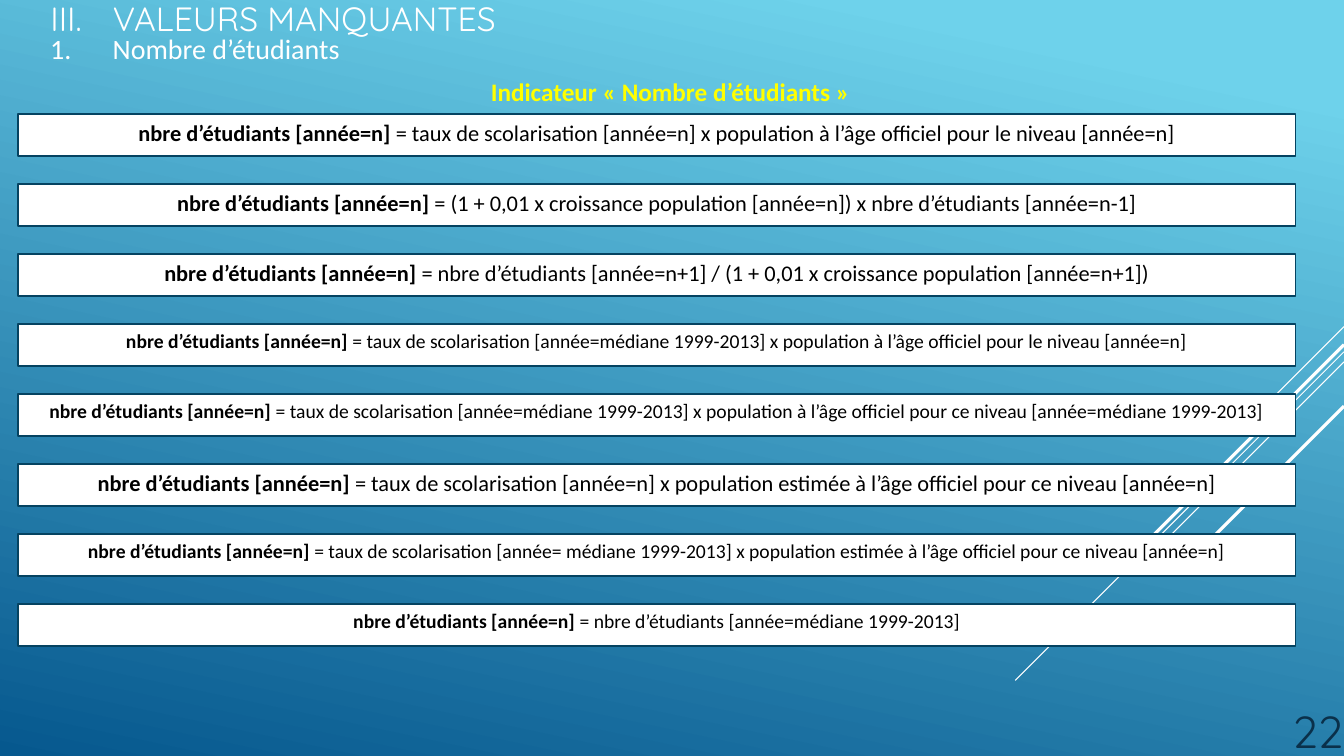
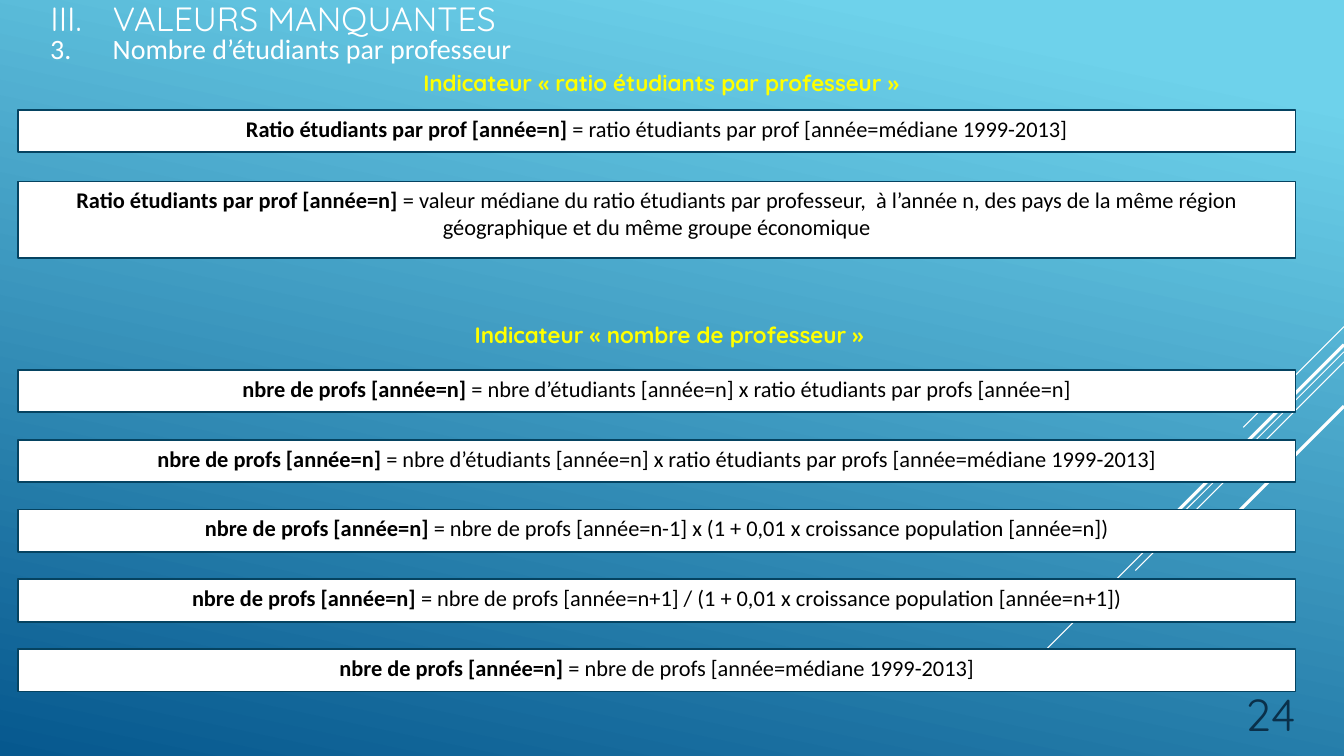
from lxml import etree
from pptx import Presentation
from pptx.dml.color import RGBColor
from pptx.enum.shapes import MSO_CONNECTOR, MSO_SHAPE
from pptx.enum.text import MSO_ANCHOR, MSO_AUTO_SIZE, PP_ALIGN
from pptx.oxml.ns import qn
from pptx.util import Inches, Pt

LEFT, CENTER, RIGHT = PP_ALIGN.LEFT, PP_ALIGN.CENTER, PP_ALIGN.RIGHT
TOP, MIDDLE, BOTTOM = MSO_ANCHOR.TOP, MSO_ANCHOR.MIDDLE, MSO_ANCHOR.BOTTOM

WHITE, BLACK, YELLOW = "FFFFFF", "000000", "FFFF00"
SKY, DEEP_BLUE, BORDER, NUMBER = "6ED2EB", "06588E", "054361", "0A304A"
BODY_FONT, DISPLAY_FONT = "Calibri", "Quicksand"

TITLE_ONLY = 5
NUMBER_INDENT = 0.62
BAR_LEFT, BAR_WIDTH, BAR_HEIGHT = 0.18, 12.67, 0.42

# Diagonals all leave the right edge at 45 degrees: start height, run, width
DIAGONALS = [(3.24, 1, 0.75), (3.49, 3.26, 0.75), (3.59, 2.07, 0.75),
             (3.42, 1.91, 2.25), (4.03, 1.39, 2.25)]

STUDENTS = "nbre d’étudiants [année=n]"
RATIO = "Ratio étudiants par prof [année=n]"
TEACHERS = "nbre de profs [année=n]"

STUDENT_FORMULAS = [
    ("taux de scolarisation [année=n] x population à l’âge officiel "
     "pour le niveau [année=n]", 16),
    ("(1 + 0,01 x croissance population [année=n]) x nbre d’étudiants [année=n-1]", 16),
    ("nbre d’étudiants [année=n+1] / (1 + 0,01 x croissance population [année=n+1])", 16),
    ("taux de scolarisation [année=médiane 1999-2013] x population à l’âge officiel "
     "pour le niveau [année=n]", 14),
    ("taux de scolarisation [année=médiane 1999-2013] x population à l’âge officiel "
     "pour ce niveau [année=médiane 1999-2013]", 14),
    ("taux de scolarisation [année=n] x population estimée à l’âge officiel "
     "pour ce niveau [année=n]", 16),
    ("taux de scolarisation [année= médiane 1999-2013] x population estimée "
     "à l’âge officiel pour ce niveau [année=n]", 14),
    ("nbre d’étudiants [année=médiane 1999-2013]", 14),
]
RATIO_MEDIAN = "ratio étudiants par prof [année=médiane 1999-2013]"
RATIO_REGION = ("valeur médiane du ratio étudiants par professeur,  à l’année n, des pays "
                "de la même région géographique et du même groupe économique")
TEACHER_FORMULAS = [
    ("nbre d’étudiants [année=n] x ratio étudiants par profs [année=n]", 16),
    ("nbre d’étudiants [année=n] x ratio étudiants par profs [année=médiane 1999-2013]", 16),
    ("nbre de profs [année=n-1] x (1 + 0,01 x croissance population [année=n])", 16),
    ("nbre de profs [année=n+1] / (1 + 0,01 x croissance population [année=n+1])", 16),
    ("nbre de profs [année=médiane 1999-2013]", 16),
]


def rgb(value):
    return RGBColor.from_string(value)


def add_run(p, text, size=16, font=BODY_FONT, color=BLACK, bold=False):
    r = p.add_run()
    r.text = text
    r.font.size = Pt(size)
    r.font.name = font
    r.font.color.rgb = rgb(color)
    r.font.bold = bold


def set_text(sp, text, align=LEFT, anchor=TOP, **run_format):
    """Write one paragraph into a shape and return the paragraph."""
    tf = sp.text_frame
    tf.word_wrap = True
    tf.auto_size = MSO_AUTO_SIZE.NONE
    tf.vertical_anchor = anchor
    p = tf.paragraphs[0]
    p.alignment = align
    add_run(p, text, **run_format)
    return p


def add_text(slide, text, left, top, width, height, **text_format):
    sp = slide.shapes.add_textbox(Inches(left), Inches(top), Inches(width), Inches(height))
    return set_text(sp, text, **text_format)


def number_paragraph(p, scheme, start):
    """Give a paragraph an automatic number with a hanging indent."""
    pPr = p._p.get_or_add_pPr()
    pPr.set("marL", str(Inches(NUMBER_INDENT)))
    pPr.set("indent", str(-Inches(NUMBER_INDENT)))
    bullet = etree.SubElement(pPr, qn("a:buAutoNum"))
    bullet.set("type", scheme)
    bullet.set("startAt", str(start))


def add_diagonals(slide):
    for top, run, width in DIAGONALS:
        line = slide.shapes.add_connector(
            MSO_CONNECTOR.STRAIGHT, Inches(13.33), Inches(top),
            Inches(13.33 - run), Inches(top + run))
        line.line.color.rgb = rgb(WHITE)
        line.line.width = Pt(width)
        etree.SubElement(line._element.spPr, qn("a:effectLst"))


def add_heading(slide, text, left, top, width, **run_format):
    add_text(slide, text, left, top, width, 0.37, color=YELLOW, bold=True, **run_format)


def add_formula(slide, name, formula, top, height=BAR_HEIGHT, size=16):
    sp = slide.shapes.add_shape(MSO_SHAPE.RECTANGLE, Inches(BAR_LEFT), Inches(top),
                                Inches(BAR_WIDTH), Inches(height))
    sp.shadow.inherit = False
    sp.fill.solid()
    sp.fill.fore_color.rgb = rgb(WHITE)
    sp.line.color.rgb = rgb(BORDER)
    sp.line.width = Pt(1.25)
    p = set_text(sp, name, align=CENTER, size=size, bold=True)
    add_run(p, f" = {formula}", size=size)


def add_formulas(slide, name, formulas, first, last):
    """Spread formula bars evenly between the first and the last top."""
    pitch = (last - first) / (len(formulas) - 1)
    for i, (formula, size) in enumerate(formulas):
        add_formula(slide, name, formula, first + i * pitch, size=size)


def add_slide(prs, section, subtitle, page, page_left, page_top):
    slide = prs.slides.add_slide(prs.slide_layouts[TITLE_ONLY])
    add_diagonals(slide)
    title = slide.shapes.title
    title.left, title.top = Inches(0.4), Inches(0)
    title.width, title.height = Inches(12.93), Inches(0.36)
    p = set_text(title, "VALEURS MANQUANTES", anchor=MIDDLE, size=24,
                 font=DISPLAY_FONT, color=WHITE)
    number_paragraph(p, "romanUcPeriod", 3)
    p = add_text(slide, subtitle, 0.4, 0.31, 5.4, 0.34, anchor=MIDDLE, size=20, color=WHITE)
    number_paragraph(p, "arabicPeriod", section)
    add_text(slide, page, page_left, page_top, 1.25, 0.73, align=RIGHT, anchor=BOTTOM,
             size=32, font=DISPLAY_FONT, color=NUMBER)
    return slide


def set_background(master):
    fill = master.background.fill
    fill.gradient()
    fill.gradient_angle = 258
    for stop, color, position in zip(fill.gradient_stops, (SKY, DEEP_BLUE), (0.1, 1)):
        stop.color.rgb = rgb(color)
        stop.position = position


def add_students_slide(prs):
    slide = add_slide(prs, 1, "Nombre d’étudiants", "22", 12.17, 6.83)
    add_heading(slide, "Indicateur « Nombre d’étudiants »", 4.77, 0.71, 4.01, size=18)
    add_formulas(slide, STUDENTS, STUDENT_FORMULAS, 1.13, 5.99)


def add_teachers_slide(prs):
    slide = add_slide(prs, 3, "Nombre d’étudiants par professeur", "24", 11.7, 6.67)
    add_heading(slide, "Indicateur « ratio étudiants par professeur »", 4.1, 0.64, 5.28,
                font=DISPLAY_FONT)
    add_formula(slide, RATIO, RATIO_MEDIAN, 1.09)
    add_formula(slide, RATIO, RATIO_REGION, 1.8, height=0.76)
    add_heading(slide, "Indicateur « nombre de professeur »", 4.61, 3.14, 4.2,
                font=DISPLAY_FONT)
    add_formulas(slide, TEACHERS, TEACHER_FORMULAS, 3.67, 6.44)


def main():
    prs = Presentation()
    prs.slide_width, prs.slide_height = Inches(13.33), Inches(7.5)
    set_background(prs.slide_master)
    add_students_slide(prs)
    add_teachers_slide(prs)
    prs.save("out.pptx")


if __name__ == "__main__":
    main()
